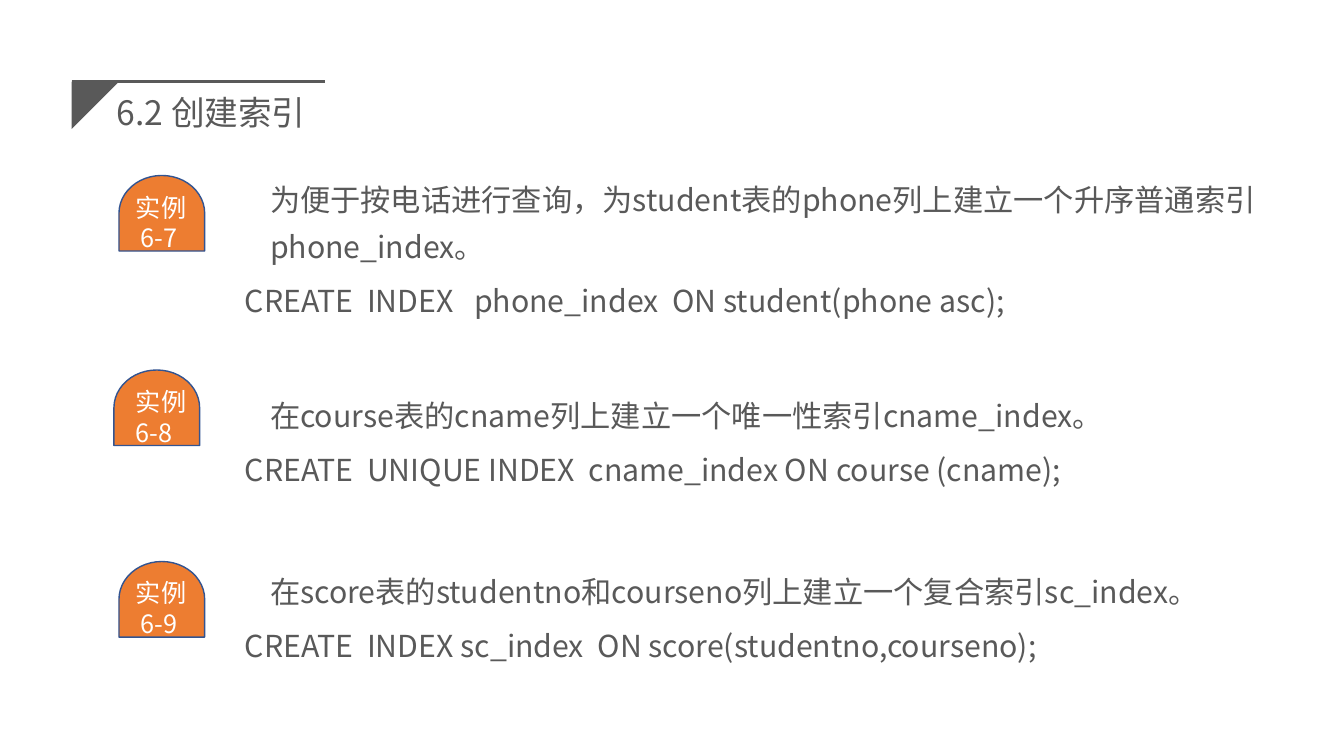
from dataclasses import dataclass

from pptx import Presentation
from pptx.dml.color import RGBColor
from pptx.enum.shapes import MSO_CONNECTOR, MSO_SHAPE
from pptx.enum.text import MSO_ANCHOR, MSO_AUTO_SIZE, PP_ALIGN
from pptx.oxml.ns import qn
from pptx.util import Emu, Pt

PX = 9144  # 100 px to the inch
FONT = "Noto Sans CJK SC"
GREY, ORANGE, NAVY, WHITE = "595959", "ED7D31", "325491", "FFFFFF"
BODY_SIZE, BODY_LINE = 21.6, 33.6
BADGE_SIZE, BADGE_LINE = 18, 22


@dataclass
class Example:
    number: str
    task: str
    statement: str
    space_before: float  # points above the task
    badge_left: int
    badge_top: int
    label_top: int
    number_indent: int


EXAMPLES = [
    Example("6-7", "为便于按电话进行查询，为student表的phone列上建立一个升序普通索引phone_index。",
            "CREATE  INDEX   phone_index  ON student(phone asc);", 0, 123, 169, 185, 5),
    Example("6-8", "在course表的cname列上建立一个唯一性索引cname_index。",
            "CREATE  UNIQUE INDEX  cname_index ON course (cname);", 48.6, 118, 362, 378, 0),
    Example("6-9", "在score表的studentno和courseno列上建立一个复合索引sc_index。",
            "CREATE  INDEX sc_index  ON score(studentno,courseno);", 53.6, 123, 552, 567, 5),
]


def px(length: int) -> Emu:
    return Emu(length * PX)


def color(value: str) -> RGBColor:
    return RGBColor.from_string(value)


def add_run(paragraph, text: str, size: float, fill: str) -> None:
    run = paragraph.add_run()
    run.text = text
    run.font.size = Pt(size)
    run.font.name = FONT
    run.font.color.rgb = color(fill)
    east_asian = run.font._element.makeelement(qn("a:ea"), {"typeface": FONT})
    run.font._element.find(qn("a:latin")).addnext(east_asian)


def format_paragraph(paragraph, line: float, before: float = 0, indent: int = 0) -> None:
    paragraph.alignment = PP_ALIGN.LEFT
    paragraph.line_spacing = Pt(line)
    paragraph.space_before = Pt(before)
    properties = paragraph._p.get_or_add_pPr()
    properties.set("marL", str(px(indent)))
    properties.set("indent", "0")


def add_text_frame(shapes, left: int, top: int, width: int, height: int):
    text_frame = shapes.add_textbox(px(left), px(top), px(width), px(height)).text_frame
    text_frame.word_wrap = True
    return text_frame


def add_title(slide) -> None:
    title = slide.shapes.title
    title.left, title.top, title.width, title.height = px(106), px(69), px(395), px(84)
    title.text_frame.auto_size = MSO_AUTO_SIZE.NONE
    title.text_frame.vertical_anchor = MSO_ANCHOR.MIDDLE
    paragraph = title.text_frame.paragraphs[0]
    paragraph.alignment = PP_ALIGN.LEFT
    add_run(paragraph, "6.2 创建索引", 24, GREY)


def add_title_mark(slide) -> None:
    builder = slide.shapes.build_freeform(71, 81, scale=PX)
    builder.add_line_segments([(118, 81), (71, 128)], close=True)
    corner = builder.convert_to_shape()
    corner.shadow.inherit = False
    corner.fill.solid()
    corner.fill.fore_color.rgb = color(GREY)
    corner.line.fill.background()

    rule = slide.shapes.add_connector(MSO_CONNECTOR.STRAIGHT, px(71), px(81), px(322), px(81))
    rule.line.color.rgb = color(GREY)
    rule.line.width = Pt(1.75)
    properties = rule._element.spPr
    properties.append(properties.makeelement(qn("a:effectLst"), {}))


def add_badge(slide, example: Example) -> None:
    shapes = slide.shapes.add_group_shape().shapes
    badge = shapes.add_shape(MSO_SHAPE.FLOWCHART_DELAY, px(example.badge_left),
                             px(example.badge_top), px(75), px(85))
    badge.rotation = 270
    badge.shadow.inherit = False
    badge.fill.solid()
    badge.fill.fore_color.rgb = color(ORANGE)
    badge.line.color.rgb = color(NAVY)
    badge.line.width = Pt(1)

    text_frame = add_text_frame(shapes, 125, example.label_top, 93, 71)
    caption, number = text_frame.paragraphs[0], text_frame.add_paragraph()
    format_paragraph(caption, BADGE_LINE)
    add_run(caption, "实例", BADGE_SIZE, WHITE)
    format_paragraph(number, BADGE_LINE, indent=example.number_indent)
    add_run(number, example.number, BADGE_SIZE, WHITE)


def add_body(slide, examples: list[Example]) -> None:
    text_frame = add_text_frame(slide.shapes, 233, 164, 1050, 512)
    for index, example in enumerate(examples):
        task = text_frame.add_paragraph() if index else text_frame.paragraphs[0]
        format_paragraph(task, BODY_LINE, example.space_before, indent=25)
        add_run(task, example.task, BODY_SIZE, GREY)
        statement = text_frame.add_paragraph()
        format_paragraph(statement, BODY_LINE, before=5)
        add_run(statement, example.statement, BODY_SIZE, GREY)


def main() -> None:
    presentation = Presentation()
    presentation.slide_width, presentation.slide_height = px(1333), px(750)
    slide = presentation.slides.add_slide(presentation.slide_layouts[5])

    # Heading
    add_title(slide)
    add_title_mark(slide)

    # Examples and their badges
    add_body(slide, EXAMPLES)
    for example in EXAMPLES:
        add_badge(slide, example)

    presentation.save("out.pptx")


if __name__ == "__main__":
    main()
